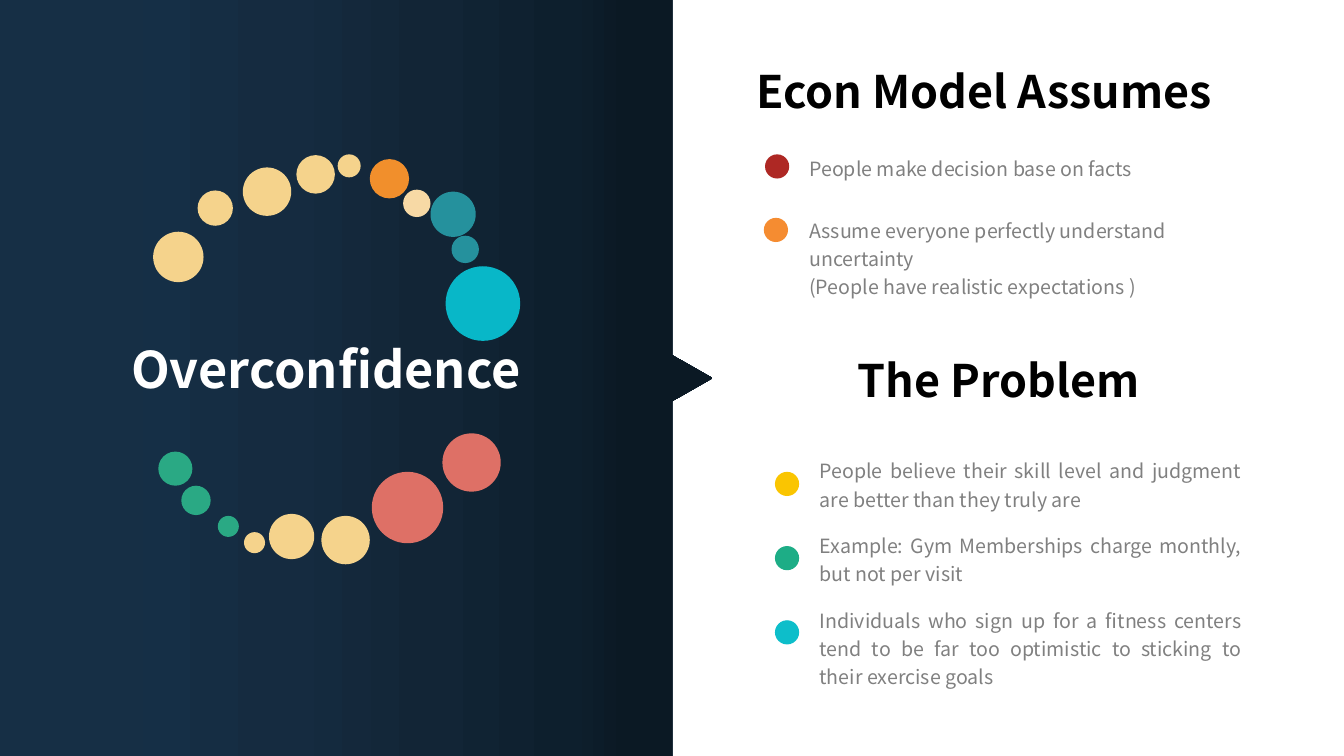
from lxml import etree
from pptx import Presentation
from pptx.dml.color import RGBColor
from pptx.enum import shapes, text
from pptx.oxml.ns import qn
from pptx.util import Cm, Pt

FONT = "Noto Sans CJK SC"
SLIDE_WIDTH, SLIDE_HEIGHT = 33.87, 19.05
COMPARISON_LAYOUT = 4
DOT_SIZE = 0.61
PANEL_STOPS = [(0, "162F45"), (20, "152F46"), (40, "152B40"),
               (60, "122536"), (80, "0D1F2D"), (88, "0B1924")]
# Ring circles by colour: left, top, diameter in cm
RING = [
    ("08B7C8", [(11.23, 6.71, 1.88)]),
    ("DE7066", [(11.15, 10.92, 1.47), (9.37, 11.89, 1.8)]),
    ("F5D38C", [(8.1, 13, 1.22), (6.78, 12.95, 1.14), (6.15, 13.41, 0.53),
                (3.86, 5.84, 1.27), (4.98, 4.8, 0.89), (6.12, 4.22, 1.22),
                (7.47, 3.91, 0.97), (8.51, 3.89, 0.58)]),
    ("2AA984", [(5.49, 13, 0.53), (4.57, 12.24, 0.74), (3.99, 11.38, 0.86)]),
    ("F18F2C", [(9.32, 4.01, 0.99)]),
    ("F7D9A5", [(10.16, 4.78, 0.69)]),
    ("25919D", [(11.38, 5.94, 0.69), (10.85, 4.83, 1.14)]),
]
ASSUMPTIONS = [
    "People make decision base on facts",
    "Assume everyone perfectly understand uncertainty",
    "(People have realistic expectations )",
]
PROBLEMS = [
    "People believe their skill level and judgment are better than they truly are",
    "Example: Gym Memberships charge monthly, but not per visit",
    "Individuals who sign up for a fitness centers tend to be far too optimistic "
    "to sticking to their exercise goals",
]


def rgb(value):
    return RGBColor.from_string(value)


def add_circle(slide, left, top, size, color):
    circle = slide.shapes.add_shape(
        shapes.MSO_SHAPE.OVAL, Cm(left), Cm(top), Cm(size), Cm(size))
    circle.shadow.inherit = False
    circle.fill.solid()
    circle.fill.fore_color.rgb = rgb(color)
    circle.line.fill.background()


def add_panel(slide):
    """Dark gradient panel with an arrow tip, placed behind everything."""
    edge, tip, middle, half = 16.94, 17.96, 9.53, 0.58
    builder = slide.shapes.build_freeform(0, 0)
    points = [(edge, 0), (edge, middle - half), (tip, middle),
              (edge, middle + half), (edge, SLIDE_HEIGHT), (0, SLIDE_HEIGHT)]
    builder.add_line_segments([(Cm(x), Cm(y)) for x, y in points])
    panel = builder.convert_to_shape()
    panel.shadow.inherit = False
    panel.line.fill.background()
    panel.fill.gradient()
    panel.fill.gradient_angle = 0
    stops = panel.element.spPr.find(".//" + qn("a:gsLst"))
    for stop in list(stops):
        stops.remove(stop)
    for position, color in PANEL_STOPS:
        stop = etree.SubElement(stops, qn("a:gs"), pos=str(position * 1000))
        etree.SubElement(stop, qn("a:srgbClr"), val=color)
    slide.shapes.element.insert(2, panel.element)


def write(shape, box, lines, size, color, bold=False, align=text.PP_ALIGN.LEFT,
          line_spacing=1.0, gaps=()):
    """Place a placeholder and fill it; gaps are the points before later lines."""
    shape.left, shape.top, shape.width, shape.height = map(Cm, box)
    frame = shape.text_frame
    frame.word_wrap = True
    frame.auto_size = text.MSO_AUTO_SIZE.SHAPE_TO_FIT_TEXT
    frame.vertical_anchor = text.MSO_ANCHOR.TOP
    frame.text = "\n".join(lines)
    for paragraph, gap in zip(frame.paragraphs, (0, *gaps)):
        properties = paragraph._p.get_or_add_pPr()
        properties.set("marL", "0")
        properties.set("indent", "0")
        etree.SubElement(properties, qn("a:buNone"))
        paragraph.alignment = align
        paragraph.line_spacing = line_spacing
        paragraph.space_before = Pt(gap)
        paragraph.space_after = Pt(0)
        for run in paragraph.runs:
            run.font.name = FONT
            run.font.size = Pt(size)
            run.font.bold = bold
            run.font.color.rgb = rgb(color)


def main():
    presentation = Presentation()
    presentation.slide_width = Cm(SLIDE_WIDTH)
    presentation.slide_height = Cm(SLIDE_HEIGHT)
    slide = presentation.slides.add_slide(
        presentation.slide_layouts[COMPARISON_LAYOUT])
    title, top_heading, top_list, low_heading, low_list = slide.placeholders

    add_panel(slide)
    for color, circles in RING:
        for left, top, size in circles:
            add_circle(slide, left, top, size, color)
    write(title, (3.05, 8.38, 10.77, 1.8), ["Overconfidence"], 36, "FFFFFF",
          bold=True)

    write(top_heading, (18.8, 1.47, 12.75, 1.63), ["Econ Model Assumes"], 32,
          "000000", bold=True)
    write(top_list, (20.14, 3.71, 11, 3.96), ASSUMPTIONS, 14, "808080",
          line_spacing=1.2, gaps=(24, 0))
    add_circle(slide, 19.28, 3.89, DOT_SIZE, "AE2824")
    add_circle(slide, 19.25, 5.49, DOT_SIZE, "F58C31")

    write(low_heading, (19.25, 8.76, 11.84, 1.63), ["The Problem"], 32,
          "000000", bold=True, align=text.PP_ALIGN.CENTER)
    write(low_list, (20.4, 11.33, 11.15, 6.15), PROBLEMS, 14, "808080",
          align=text.PP_ALIGN.JUSTIFY, line_spacing=1.2, gaps=(13, 13))
    for row, color in enumerate(["FAC501", "1DAD86", "0DBECA"]):
        add_circle(slide, 19.53, 11.89 + 1.87 * row, DOT_SIZE, color)

    presentation.save("out.pptx")


if __name__ == "__main__":
    main()
